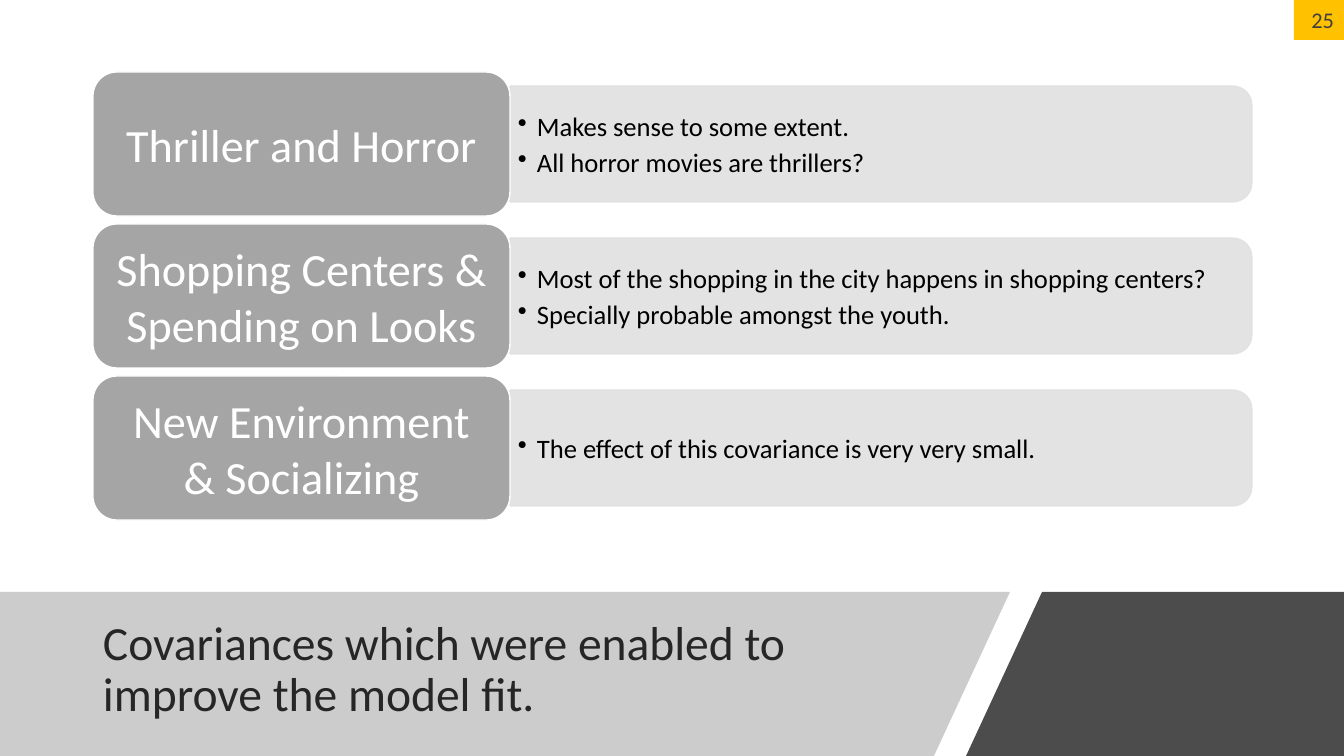
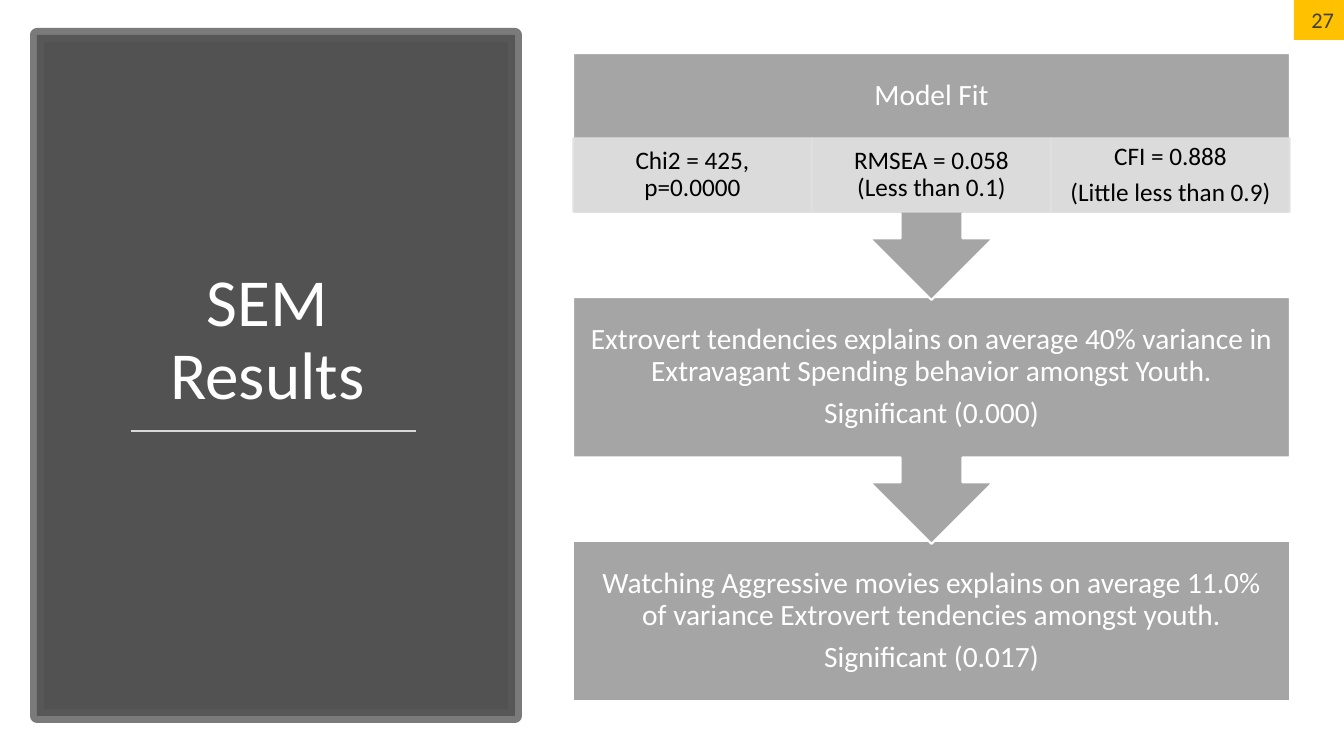
import lxml.etree
import pptx
import pptx.dml.color
import pptx.enum.shapes
import pptx.enum.text
import pptx.oxml.ns
import pptx.util

# Shared style
EMU_PER_PX = 914400 / 100.8
SLIDE_WIDTH, SLIDE_HEIGHT = 1344, 756
FONT = "Calibri"
COLORS = {
    "white": "FFFFFF", "black": "000000", "title": "262626", "dark": "404040",
    "frame": "595959", "band": "808080", "box": "A5A5A5", "rule": "D9D9D9",
    "pale": "E1E1E1", "tab": "FFC100",
}
SHAPE = pptx.enum.shapes.MSO_SHAPE
ALIGN = pptx.enum.text.PP_ALIGN
ANCHOR = pptx.enum.text.MSO_ANCHOR

# Content
COVARIANCE_TITLE = "Covariances which were enabled to improve the model fit."
COVARIANCES = [
    ("Thriller and Horror",
     ["Makes sense to some extent.", "All horror movies are thrillers?"]),
    ("Shopping Centers & Spending on Looks",
     ["Most of the shopping in the city happens in shopping centers?",
      "Specially probable amongst the youth."]),
    ("New Environment & Socializing",
     ["The effect of this covariance is very very small."]),
]
RESULTS_TITLE = "SEM\nResults"
STAGES = [
    ["Model Fit"],
    ["Extrovert tendencies explains on average 40% variance in "
     "Extravagant Spending behavior amongst Youth.", "Significant (0.000)"],
    ["Watching Aggressive movies explains on average 11.0% of variance "
     "Extrovert tendencies amongst youth.", "Significant (0.017)"],
]
MEASURES = [
    ["Chi2 = 425, p=0.0000"],
    ["RMSEA = 0.058 (Less than 0.1)"],
    ["CFI = 0.888", "(Little less than 0.9)"],
]


def px(length):
    return pptx.util.Emu(round(length * EMU_PER_PX))


def rgb(name):
    return pptx.dml.color.RGBColor.from_string(COLORS[name])


def set_opacity(parent, percent):
    color = parent.find(pptx.oxml.ns.qn("a:solidFill"))[0]
    alpha = lxml.etree.SubElement(color, pptx.oxml.ns.qn("a:alpha"))
    alpha.set("val", str(percent * 1000))


def paint(shape, fill, opacity=100, line=None, line_width=1, line_opacity=100):
    shape.shadow.inherit = False
    shape.fill.solid()
    shape.fill.fore_color.rgb = rgb(fill)
    if opacity < 100:
        set_opacity(shape.element.spPr, opacity)
    if line is None:
        shape.line.fill.background()
        return
    shape.line.color.rgb = rgb(line)
    shape.line.width = pptx.util.Pt(line_width)
    if line_opacity < 100:
        set_opacity(shape.element.spPr.find(pptx.oxml.ns.qn("a:ln")), line_opacity)


def add_box(slide, kind, box, fill, **style):
    shape = slide.shapes.add_shape(kind, *map(px, box))
    paint(shape, fill, **style)
    return shape


def add_text_box(slide, box):
    return slide.shapes.add_textbox(*map(px, box))


def add_bullet(paragraph):
    properties = paragraph._p.get_or_add_pPr()
    properties.set("marL", str(px(19)))
    properties.set("indent", str(px(-19)))
    bullet = lxml.etree.SubElement(properties, pptx.oxml.ns.qn("a:buChar"))
    bullet.set("char", "•")


def write(shape, texts, size, color, align=ALIGN.CENTER, anchor=ANCHOR.MIDDLE,
          insets=(10, 5, 10, 5), spacing=1.0, after=0.0, bullets=False):
    """Fill a shape with paragraphs; after is a share of the text size."""
    frame = shape.text_frame
    frame.word_wrap = True
    frame.vertical_anchor = anchor
    (frame.margin_left, frame.margin_top,
     frame.margin_right, frame.margin_bottom) = map(px, insets)
    for index, text in enumerate(texts):
        paragraph = frame.add_paragraph() if index else frame.paragraphs[0]
        paragraph.alignment = align
        paragraph.line_spacing = spacing
        paragraph.space_after = pptx.util.Pt(round(size * after, 1))
        if bullets:
            add_bullet(paragraph)
        for line_index, line in enumerate(text.split("\n")):
            if line_index:
                paragraph.add_line_break()
            run = paragraph.add_run()
            run.text = line
            run.font.name = FONT
            run.font.size = pptx.util.Pt(size)
            run.font.color.rgb = rgb(color)


def add_slide(presentation, number):
    slide = presentation.slides.add_slide(presentation.slide_layouts[6])
    tab = add_box(slide, SHAPE.RECTANGLE, (1294, 0, 50, 40), "tab")
    write(tab, [number], 16, "dark", align=ALIGN.RIGHT)
    return slide


def add_band(slide, points, fill, opacity):
    builder = slide.shapes.build_freeform(*points[0], scale=EMU_PER_PX)
    builder.add_line_segments(points[1:], close=True)
    paint(builder.convert_to_shape(), fill, opacity)


def build_covariances(presentation):
    slide = add_slide(presentation, "25")

    # Slanted title bands
    top, bottom, slant = 592, SLIDE_HEIGHT, 76
    add_band(slide, [(0, top), (1010, top), (1010 - slant, bottom), (0, bottom)],
             "band", 40)
    add_band(slide, [(1042, top), (SLIDE_WIDTH, top), (SLIDE_WIDTH, bottom),
                     (1042 - slant, bottom)], "black", 70)
    write(add_text_box(slide, (93, 610, 840, 121)), [COVARIANCE_TITLE], 34, "title",
          align=ALIGN.LEFT, spacing=0.9)

    # One row per covariance: label on the left, remarks on the right
    left, label_width, label_height, pitch = 93, 417, 144, 152
    panel_width, panel_height = 742, 116
    panel_left = left + label_width
    for row, (label, remarks) in enumerate(COVARIANCES):
        label_top = 72 + row * pitch
        middle = label_top + label_height / 2
        # The panel is turned a quarter, so its sides swap about the centre
        panel = add_box(slide, SHAPE.ROUND_2_SAME_RECTANGLE,
                        (panel_left + (panel_width - panel_height) / 2,
                         middle - panel_width / 2, panel_height, panel_width),
                        "pale", opacity=90, line="pale", line_opacity=90)
        panel.rotation = 90
        remark_box = add_text_box(
            slide, (panel_left, middle - 52, panel_width - 6, 104))
        write(remark_box, remarks, 19, "black", align=ALIGN.LEFT,
              insets=(8, 4, 8, 4), after=0.15, bullets=True)
        label_box = add_box(slide, SHAPE.ROUNDED_RECTANGLE,
                            (left, label_top, label_width, label_height),
                            "box", line="white")
        write(label_box, [label], 33, "white", insets=(14, 7, 14, 7), after=0.35)


def build_results(presentation):
    slide = add_slide(presentation, "27")

    # Title panel with a rule
    add_box(slide, SHAPE.RECTANGLE, (37, 35, 478, 681), "dark", opacity=90,
            line="frame", line_width=10, line_opacity=80)
    write(add_text_box(slide, (66, 101, 403, 318)), [RESULTS_TITLE], 48, "white",
          anchor=ANCHOR.BOTTOM, spacing=0.9)
    rule = slide.shapes.add_connector(pptx.enum.shapes.MSO_CONNECTOR.STRAIGHT,
                                      px(131), px(431), px(416), px(431))
    rule.line.color.rgb = rgb("rule")
    rule.line.width = pptx.util.Pt(1.75)
    lxml.etree.SubElement(rule.element.spPr, pptx.oxml.ns.qn("a:effectLst"))

    # Stages from the bottom up, so each arrow tip lies over the next box
    left, top, width, pitch = 573, 53, 717, 244
    body_height, callout_height, heading_height = 160, 247, 86
    last = len(STAGES) - 1
    for index in reversed(range(len(STAGES))):
        kind, height = SHAPE.DOWN_ARROW_CALLOUT, callout_height
        if index == last:
            kind, height = SHAPE.RECTANGLE, body_height
        stage = add_box(slide, kind, (left, top + index * pitch, width, height),
                        "box", line="white", line_width=1.5)
        # The first body also holds the measures below its heading
        reserved = 0 if index else body_height - heading_height
        write(stage, STAGES[index], 21, "white",
              insets=(16, 16, 16, 16 + reserved), spacing=0.9, after=0.35)

    # Fit measures in equal cells
    cell_width = width / len(MEASURES)
    for column, texts in enumerate(MEASURES):
        cell = add_box(slide, SHAPE.RECTANGLE,
                       (left + column * cell_width, top + heading_height - 1,
                        cell_width, body_height - heading_height),
                       "pale", opacity=90, line="pale", line_opacity=90)
        write(cell, texts, 18, "black", insets=(16, 3, 16, 3),
              spacing=0.9, after=0.35)


def main():
    presentation = pptx.Presentation()
    presentation.slide_width = px(SLIDE_WIDTH)
    presentation.slide_height = px(SLIDE_HEIGHT)
    build_covariances(presentation)
    build_results(presentation)
    presentation.save("out.pptx")


if __name__ == "__main__":
    main()
